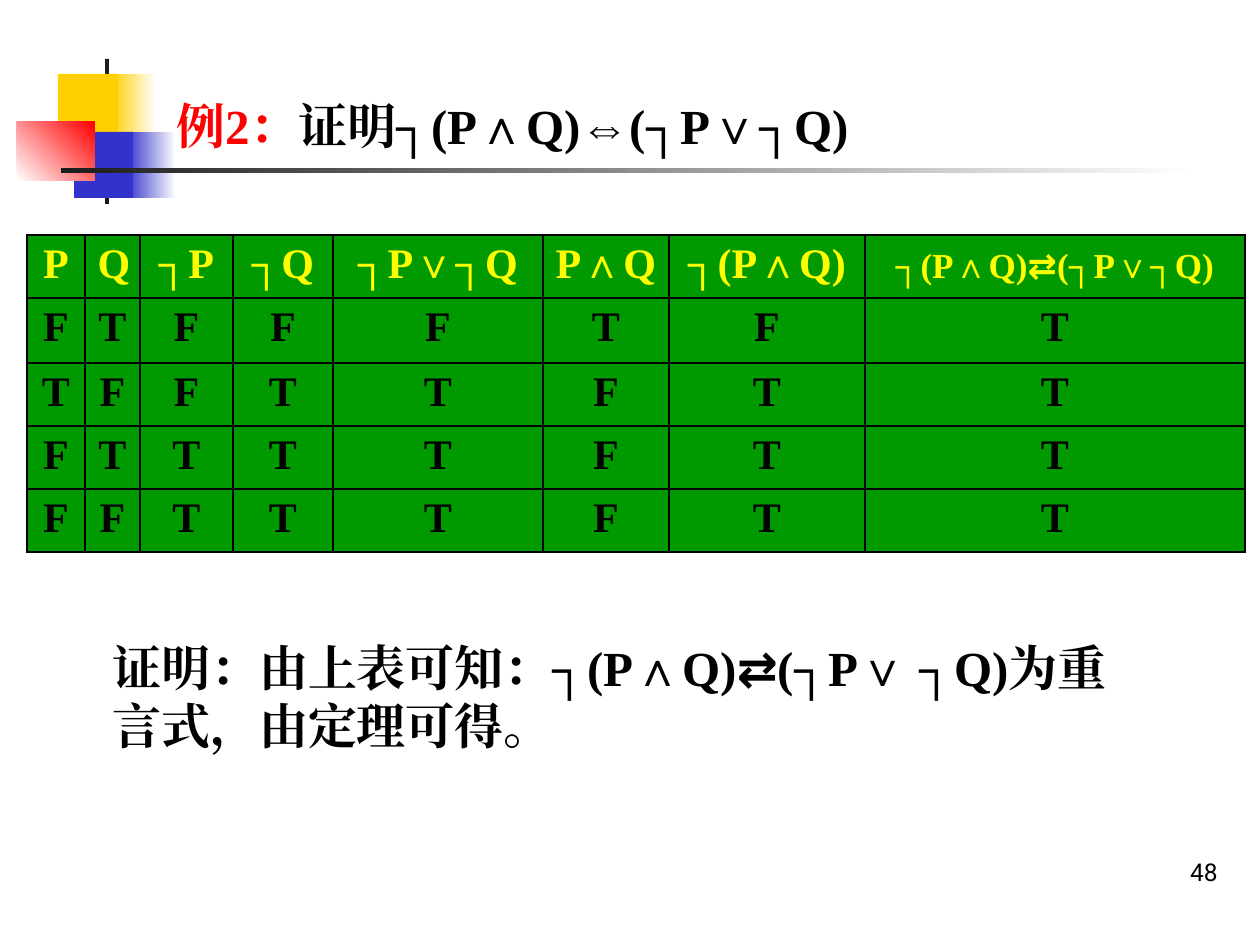
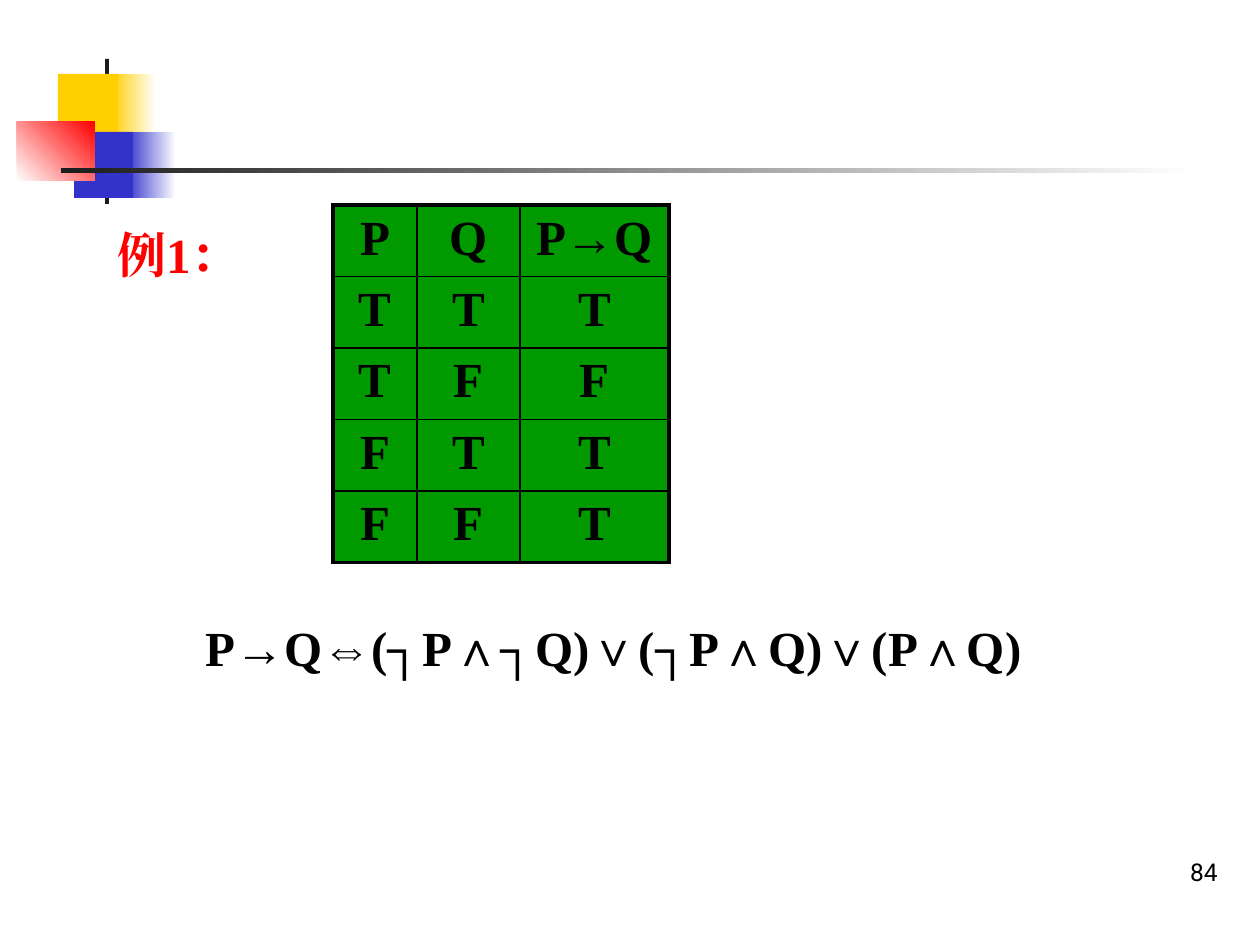
from itertools import groupby

from lxml.etree import SubElement
from pptx import Presentation
from pptx.dml.color import RGBColor
from pptx.enum.shapes import MSO_SHAPE
from pptx.enum.text import MSO_ANCHOR, MSO_AUTO_SIZE, PP_ALIGN
from pptx.oxml import parse_xml
from pptx.oxml.ns import nsdecls, qn
from pptx.util import Emu, Pt

BLACK = RGBColor(0x00, 0x00, 0x00)
WHITE = RGBColor(0xFF, 0xFF, 0xFF)
INK = RGBColor(0x1C, 0x1C, 0x1C)
RED = RGBColor(0xFF, 0x00, 0x00)
GOLD = RGBColor(0xFF, 0xCF, 0x01)
BLUE = RGBColor(0x33, 0x33, 0xCC)
YELLOW = RGBColor(0xFF, 0xFF, 0x00)
GREEN = RGBColor(0x00, 0x99, 0x00)

SERIF = "Times New Roman"
MONO = "Noto Sans Mono"
SANS = "Roboto"

DECORATION = [
    (111, 74, 45, 66, (GOLD, WHITE), 0),
    (126, 132, 50, 66, (BLUE, WHITE), 0),
    (105, 59, 4, 145, (INK,), 0),
    (58, 74, 60, 66, (GOLD,), 0),
    (74, 132, 59, 66, (BLUE,), 0),
    (17, 122, 78, 59, (WHITE, RED), 45),
    (61, 168, 1134, 5, (INK, WHITE), 0),
]

PROOF_ROWS = [
    ["P", "Q", "┐P", "┐Q", "┐P∨┐Q", "P∧Q", "┐(P∧Q)", "┐(P∧Q)⇄(┐P∨┐Q)"],
    *map(list, ["FTFFFTFT", "TFFTTFTT", "FTTTTFTT", "FFTTTFTT"]),
]
IMPLICATION_ROWS = [["P", "Q", "P→Q"], *map(list, ["TTT", "TFF", "FTT", "FFT"])]


def px(n):
    """Turn pixels at 126 to the inch into EMU."""
    return Emu(round(n * 914400 / 126))


def box(x, y, w, h):
    """Return a place and size in EMU."""
    return px(x), px(y), px(w), px(h)


def style(font, size, color, name, bold):
    """Format a run's font for Latin and East Asian text."""
    font.size, font.bold, font.name = Pt(size), bold, name
    font.color.rgb = color


def write(p, text, size, color=BLACK, name=SERIF, bold=True):
    """Add text to a paragraph, with the double arrow in its own font."""
    for is_arrow, chars in groupby(text, lambda ch: ch == "⇄"):
        r = p.add_run()
        r.text = "".join(chars)
        face = MONO if is_arrow else name
        style(r.font, size, color, face, bold)
        SubElement(r.font._element, qn("a:ea"), typeface=face)


def add_decoration(s):
    """Draw the coloured squares and the fading rule."""
    for x, y, w, h, colors, angle in DECORATION:
        sp = s.shapes.add_shape(MSO_SHAPE.RECTANGLE, *box(x, y, w, h))
        sp.shadow.inherit = False
        sp.line.fill.background()
        if len(colors) == 1:
            sp.fill.solid()
            sp.fill.fore_color.rgb = colors[0]
            continue
        sp.fill.gradient()
        sp.fill.gradient_angle = angle
        for stop, color in zip(sp.fill.gradient_stops, colors):
            stop.color.rgb = color


def add_text(s, x, y, w, h, text, size=28, **fmt):
    """Add a wrapping text box and return its frame."""
    tf = s.shapes.add_textbox(*box(x, y, w, h)).text_frame
    tf.word_wrap = True
    write(tf.paragraphs[0], text, size, **fmt)
    return tf


def set_title(s, x, y, w, h, label, statement="", spacing=1.0):
    """Place the title with its red label and black statement."""
    sp = s.shapes.title
    sp.left, sp.top, sp.width, sp.height = box(x, y, w, h)
    tf = sp.text_frame
    tf.vertical_anchor = MSO_ANCHOR.TOP
    tf.auto_size = MSO_AUTO_SIZE.NONE
    p = tf.paragraphs[0]
    p.alignment = PP_ALIGN.LEFT
    p.line_spacing = spacing
    write(p, label, 28, RED)
    write(p, statement, 28)


def set_borders(cell, widths):
    """Give a cell black borders: left, right, top and bottom."""
    tc_pr = cell._tc.get_or_add_tcPr()
    for i, (side, width) in enumerate(zip("LRTB", widths)):
        tc_pr.insert(i, parse_xml(
            f'<a:ln{side} {nsdecls("a")} w="{Pt(width)}"><a:solidFill>'
            f'<a:srgbClr val="{BLACK}"/></a:solidFill></a:ln{side}>'))


def add_truth_table(s, x, y, cols, heights, rows, size, head_color=BLACK,
                    outer=1.0, last_head_size=None):
    """Add a green truth table with a frame of its own width."""
    frame = s.shapes.add_table(len(rows), len(cols),
                               *box(x, y, sum(cols), sum(heights)))
    table = frame.table
    table.first_row = table.horz_banding = False
    for column, width in zip(table.columns, cols):
        column.width = px(width)
    last_row, last_col = len(rows) - 1, len(cols) - 1
    for i, values in enumerate(rows):
        table.rows[i].height = px(heights[i])
        for j, value in enumerate(values):
            cell = table.cell(i, j)
            cell.fill.solid()
            cell.fill.fore_color.rgb = GREEN
            edges = (j == 0, j == last_col, i == 0, i == last_row)
            set_borders(cell, [outer if edge else 1 for edge in edges])
            p = cell.text_frame.paragraphs[0]
            p.alignment = PP_ALIGN.CENTER
            small = last_head_size and (i, j) == (0, last_col)
            write(p, value, last_head_size if small else size,
                  head_color if i == 0 else BLACK)


def add_slide(prs, number):
    """Add a title-only slide with decoration and page number."""
    s = prs.slides.add_slide(prs.slide_layouts[5])
    add_decoration(s)
    tf = add_text(s, 968, 830, 262, 63, number, 14, name=SANS, bold=False)
    tf.vertical_anchor = MSO_ANCHOR.BOTTOM
    tf.paragraphs[0].alignment = PP_ALIGN.RIGHT
    return s


def build_proof(prs):
    """Build the slide that proves the equivalence by truth table."""
    s = add_slide(prs, "48")
    set_title(s, 164, 96, 983, 65, "例2：", "证明┐(P∧Q)⇔(┐P∨┐Q)", 0.9)
    add_text(s, 100, 631, 1032, 130,
             "证明：由上表可知：┐(P∧Q)⇄(┐P∨ ┐Q)为重言式，由定理可得。")
    add_truth_table(s, 27, 235, [58, 55, 93, 100, 210, 126, 196, 380],
                    [63, 65, 63, 63, 63], PROOF_ROWS, 24, YELLOW,
                    last_head_size=20)


def build_implication(prs):
    """Build the slide that reads a normal form off a truth table."""
    s = add_slide(prs, "84")
    set_title(s, 105, 218, 228, 72, "例1：")
    add_text(s, 193, 611, 903, 72, "P→Q⇔(┐P∧┐Q)∨(┐P∧Q)∨(P∧Q)")
    add_truth_table(s, 333, 205, [84, 103, 149], [71] * 5,
                    IMPLICATION_ROWS, 28, outer=2.25)


def main():
    """Build and save the presentation."""
    prs = Presentation()
    prs.slide_width, prs.slide_height = px(1260), px(945)
    build_proof(prs)
    build_implication(prs)
    prs.save("out.pptx")


if __name__ == "__main__":
    main()
